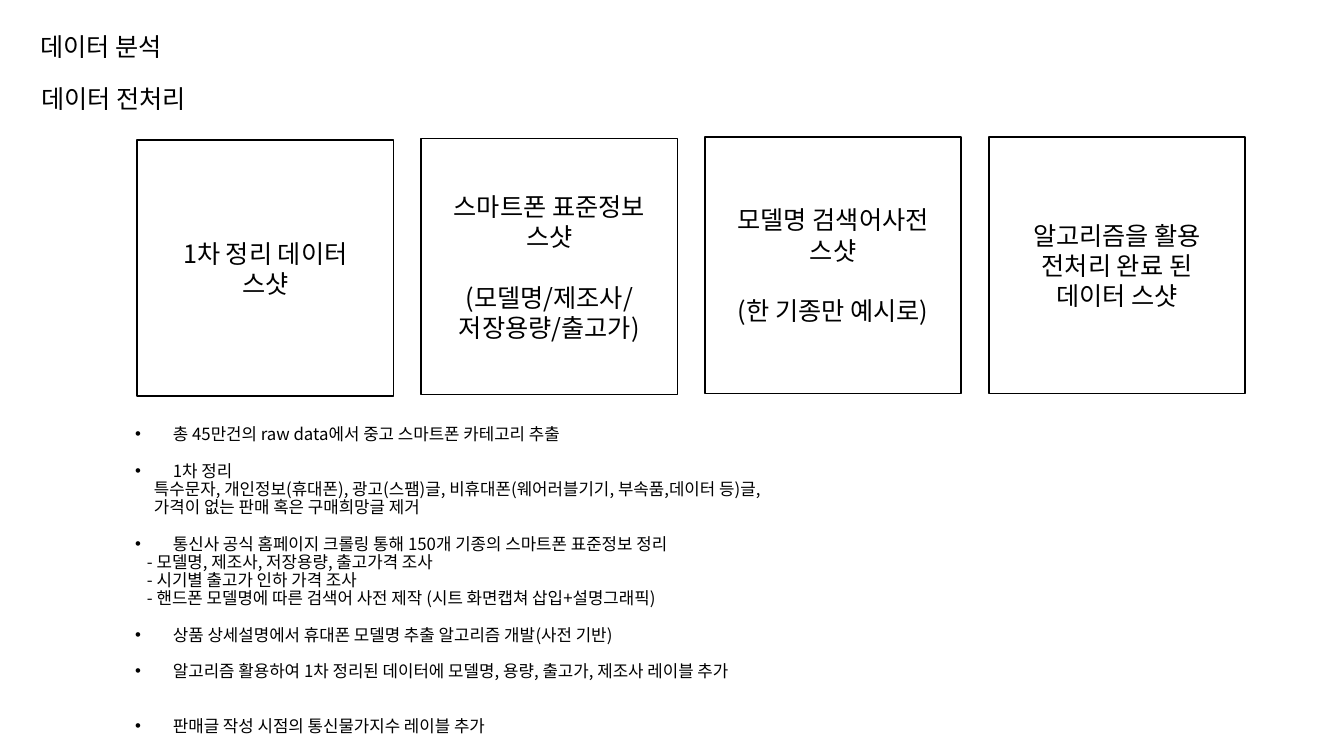
from lxml.etree import SubElement
from pptx import Presentation
from pptx.dml.color import RGBColor
from pptx.enum.shapes import MSO_SHAPE
from pptx.enum.text import MSO_ANCHOR, MSO_AUTO_SIZE, PP_ALIGN
from pptx.oxml.ns import qn
from pptx.util import Pt

BLACK = RGBColor(0, 0, 0)
WHITE = RGBColor(255, 255, 255)
FONT = "Noto Sans CJK KR"
BULLET, DETAIL, DASH = "bullet", "detail", "dash"
# Left margin and first-line indent of each kind of line
INDENTS = {BULLET: (27, -27), DETAIL: (13.5, 0), DASH: (8.5, 0), None: (0, 0)}

SHOTS = [
    (["1차 정리 데이터", "스샷"], 100),
    (["스마트폰 표준정보", "스샷", "", "(모델명/제조사/", "저장용량/출고가)"], 99),
    (["모델명 검색어사전", "스샷", "", "(한 기종만 예시로)"], 98),
    (["알고리즘을 활용", "전처리 완료 된", "데이터 스샷"], 98),
]
STEPS = [
    (BULLET, "총 45만건의 raw data에서 중고 스마트폰 카테고리 추출", 0),
    (BULLET, "1차 정리", 1),
    (DETAIL, "특수문자, 개인정보(휴대폰), 광고(스팸)글, 비휴대폰(웨어러블기기, 부속품,데이터 등)글,", 0),
    (DETAIL, "가격이 없는 판매 혹은 구매희망글 제거", 0),
    (BULLET, "통신사 공식 홈페이지 크롤링 통해 150개 기종의 스마트폰 표준정보 정리", 1),
    (DASH, "- 모델명, 제조사, 저장용량, 출고가격 조사", 0),
    (DASH, "- 시기별 출고가 인하 가격 조사", 0),
    (DASH, "- 핸드폰 모델명에 따른 검색어 사전 제작 (시트 화면캡쳐 삽입+설명그래픽)", 0),
    (BULLET, "상품 상세설명에서 휴대폰 모델명 추출 알고리즘 개발(사전 기반)", 1),
    (BULLET, "알고리즘 활용하여 1차 정리된 데이터에 모델명, 용량, 출고가, 제조사 레이블 추가", 1),
    (BULLET, "판매글 작성 시점의 통신물가지수 레이블 추가", 2),
]


def place(sp, left, top, width, height):
    """Move and size a shape, in points."""
    sp.left, sp.top, sp.width, sp.height = map(Pt, (left, top, width, height))


def setup_frame(tf, anchor=MSO_ANCHOR.TOP):
    """Make a text frame wrap at a fixed size."""
    tf.word_wrap = True
    tf.auto_size = MSO_AUTO_SIZE.NONE
    tf.vertical_anchor = anchor


def add_text(p, text, size=18, line=21.6, before=0, align=PP_ALIGN.LEFT, kind=None):
    """Write one formatted paragraph."""
    p.alignment = align
    p.line_spacing, p.space_before, p.space_after = Pt(line), Pt(before), Pt(0)
    margin, indent = INDENTS[kind]
    pPr = p._p.get_or_add_pPr()
    pPr.set("marL", str(Pt(margin)))
    pPr.set("indent", str(Pt(indent)))
    if kind == BULLET:
        SubElement(pPr, qn("a:buFont")).set("typeface", "Arial")
        SubElement(pPr, qn("a:buChar")).set("char", "•")
    else:
        SubElement(pPr, qn("a:buNone"))
    r = p.add_run()
    r.text = text
    r.font.size, r.font.name, r.font.color.rgb = Pt(size), FONT, BLACK
    SubElement(r._r.get_or_add_rPr(), qn("a:ea")).set("typeface", FONT)


def add_heading(sp, text, left, top, width=915, height=42):
    """Place a heading line."""
    place(sp, left, top, width, height)
    setup_frame(sp.text_frame)
    add_text(sp.text_frame.paragraphs[0], text, line=19.5)


def add_shot(s, lines, left, top, size=183):
    """Draw a square frame describing a screenshot."""
    sp = s.shapes.add_shape(MSO_SHAPE.RECTANGLE, 0, 0, 0, 0)
    place(sp, left, top, size, size)
    sp.shadow.inherit = False
    sp.fill.solid()
    sp.fill.fore_color.rgb = WHITE
    sp.line.color.rgb, sp.line.width = BLACK, Pt(1)
    tf = sp.text_frame
    setup_frame(tf, MSO_ANCHOR.MIDDLE)
    p, gap = tf.paragraphs[0], 0
    for i, text in enumerate(lines):
        if not text:
            gap = 21.6
            continue
        p = tf.add_paragraph() if i else p
        add_text(p, text, before=gap, align=PP_ALIGN.CENTER)
        gap = 0


def add_steps(sp, left, top, width, height):
    """Fill the body with the preprocessing steps."""
    place(sp, left, top, width, height)
    tf = sp.text_frame
    setup_frame(tf)
    for i, (kind, text, gap) in enumerate(STEPS):
        p = tf.add_paragraph() if i else tf.paragraphs[0]
        add_text(p, text, size=12, line=13, before=13 * gap, kind=kind)


def build_slide(prs):
    """Build the data preprocessing slide."""
    s = prs.slides.add_slide(prs.slide_layouts[1])
    add_steps(s.placeholders[1], 89.3, 300.6, 828, 229)
    add_heading(s.shapes.title, "데이터 분석", 21.6, 20.6)
    add_heading(s.shapes.add_textbox(0, 0, 0, 0), "데이터 전처리", 22.3, 58.3)
    for i, (lines, top) in enumerate(SHOTS):
        add_shot(s, lines, 98 + 202.8 * i, top)


prs = Presentation()
prs.slide_width, prs.slide_height = Pt(960), Pt(540)
build_slide(prs)
prs.save("out.pptx")
